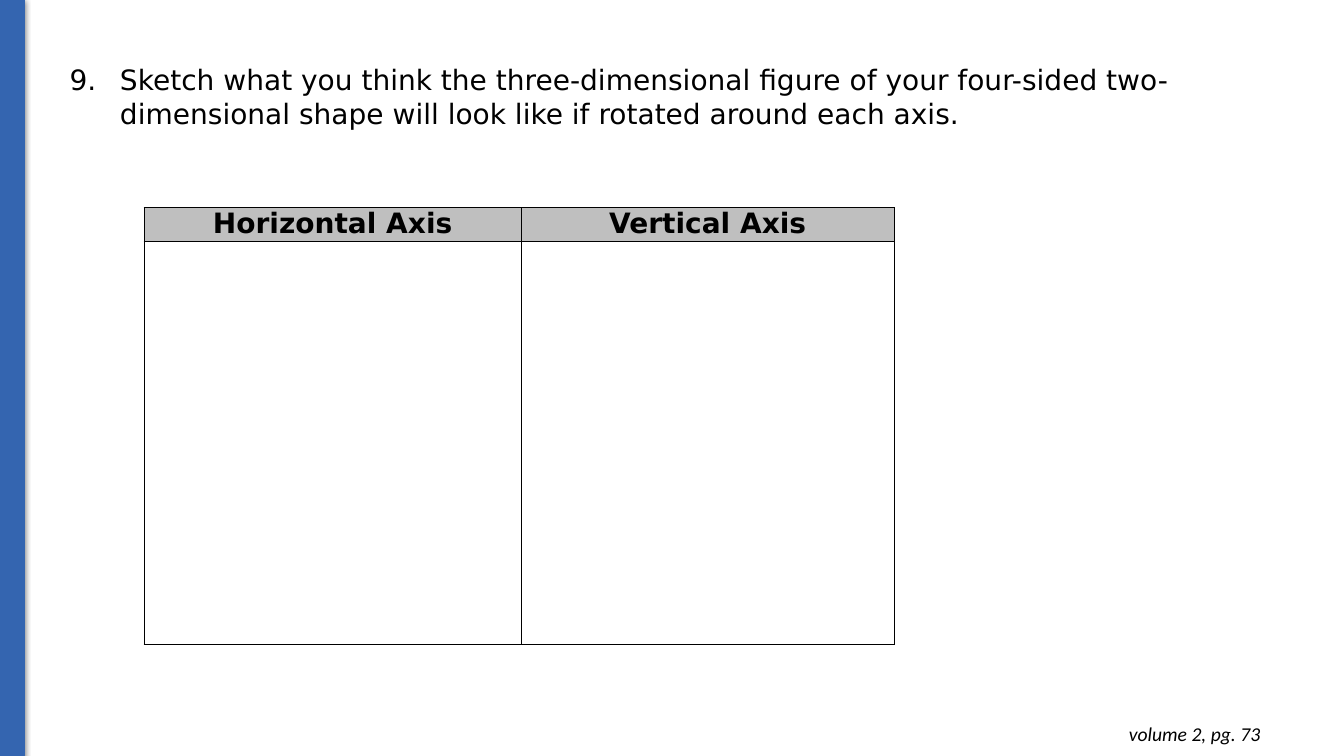
from dataclasses import dataclass

from pptx import Presentation
from pptx.dml.color import RGBColor
from pptx.enum.shapes import MSO_SHAPE
from pptx.enum.text import MSO_ANCHOR, MSO_AUTO_SIZE, PP_ALIGN
from pptx.oxml import parse_xml
from pptx.oxml.ns import nsdecls
from pptx.util import Inches, Pt

RECTANGLE = MSO_SHAPE.RECTANGLE
TOP = MSO_ANCHOR.TOP
GROW = MSO_AUTO_SIZE.SHAPE_TO_FIT_TEXT
CENTER, RIGHT = PP_ALIGN.CENTER, PP_ALIGN.RIGHT


@dataclass(frozen=True)
class Theme:
    accent: str = "3465B0"
    text: str = "000000"
    header: str = "BFBFBF"
    body_font: str = "DejaVu Sans"
    note_font: str = "Calibri"
    body_size: int = 20
    note_size: int = 14


theme = Theme()


def add_run(p, text, font, size, bold=False, italic=False):
    r = p.add_run()
    r.text = text
    r.font.name = font
    r.font.size = Pt(size)
    r.font.bold = bold
    r.font.italic = italic
    r.font.color.rgb = RGBColor.from_string(theme.text)


def add_xml(parent, xml):
    """Append an element whose first tag carries the a: namespace."""
    tag, rest = xml.split(" ", 1)
    parent.append(parse_xml(f"{tag} {nsdecls('a')} {rest}"))


prs = Presentation()
prs.slide_width, prs.slide_height = Inches(13.33), Inches(7.5)
s = prs.slides.add_slide(prs.slide_layouts[1])
title = s.shapes.title
title.element.getparent().remove(title.element)

# Side bar
bar = s.shapes.add_shape(RECTANGLE, 0, Inches(-0.01), Inches(0.24), Inches(7.51))
bar.fill.solid()
bar.fill.fore_color.rgb = RGBColor.from_string(theme.accent)
bar.line.color.rgb = RGBColor.from_string(theme.accent)
bar.line.width = Pt(0.75)
bar.shadow.inherit = False
add_xml(bar.element.spPr.find("{*}effectLst"),
        f'<a:outerShdw blurRad="{Pt(4.5)}" dist="{Pt(1.5)}" dir="5400000" rotWithShape="0">'
        f'<a:srgbClr val="{theme.text}"><a:alpha val="50000"/></a:srgbClr></a:outerShdw>')

# Page reference
note = s.shapes.add_textbox(Inches(9.72), Inches(7.06), Inches(2.88), Inches(0.44))
tf = note.text_frame
tf.word_wrap = True
tf.auto_size = GROW
tf.margin_left = tf.margin_right = tf.margin_top = tf.margin_bottom = Inches(0.1)
p = tf.paragraphs[0]
p.alignment = RIGHT
add_run(p, "volume 2, pg. 73", theme.note_font, theme.note_size, italic=True)

# Question 9
question = s.placeholders[1]
question.left, question.top = Inches(0.59), Inches(0.57)
question.width, question.height = Inches(11.63), Inches(0.77)
tf = question.text_frame
tf.word_wrap = True
tf.auto_size = GROW
tf.vertical_anchor = TOP
p = tf.paragraphs[0]
pPr = p._p.get_or_add_pPr()
pPr.set("marL", str(Inches(0.5)))
pPr.set("indent", str(Inches(-0.5)))
add_xml(pPr, f'<a:buClr ><a:srgbClr val="{theme.text}"/></a:buClr>')
add_xml(pPr, f'<a:buFont typeface="{theme.body_font}"/>')
add_xml(pPr, '<a:buAutoNum type="arabicPeriod" startAt="9"/>')
p.space_before = Pt(0)
add_run(p, "Sketch what you think the three-dimensional figure of your four-sided "
        "two-dimensional shape will look like if rotated around each axis.",
        theme.body_font, theme.body_size)

# Sketching table
headings = ["Horizontal Axis", "Vertical Axis"]
table = s.shapes.add_table(2, len(headings), Inches(1.43), Inches(2.06),
                           Inches(7.44), Inches(4.33)).table
table.first_row = table.horz_banding = False
for col, width in zip(table.columns, (3.74, 3.7)):
    col.width = Inches(width)
for row, height in zip(table.rows, (0.33, 4)):
    row.height = Inches(height)
for cell in table.iter_cells():
    cell.margin_left = cell.margin_right = Inches(0.07)
    cell.margin_top = cell.margin_bottom = 0
    for side in "LRTB":
        add_xml(cell._tc.get_or_add_tcPr(),
                f'<a:ln{side} w="{Pt(1)}"><a:solidFill><a:srgbClr val="{theme.text}"/>'
                f'</a:solidFill></a:ln{side}>')
    cell.fill.background()
for cell, heading in zip(table.rows[0].cells, headings):
    cell.fill.solid()
    cell.fill.fore_color.rgb = RGBColor.from_string(theme.header)
    p = cell.text_frame.paragraphs[0]
    p.alignment = CENTER
    add_run(p, heading, theme.body_font, theme.body_size, bold=True)

prs.save("out.pptx")
